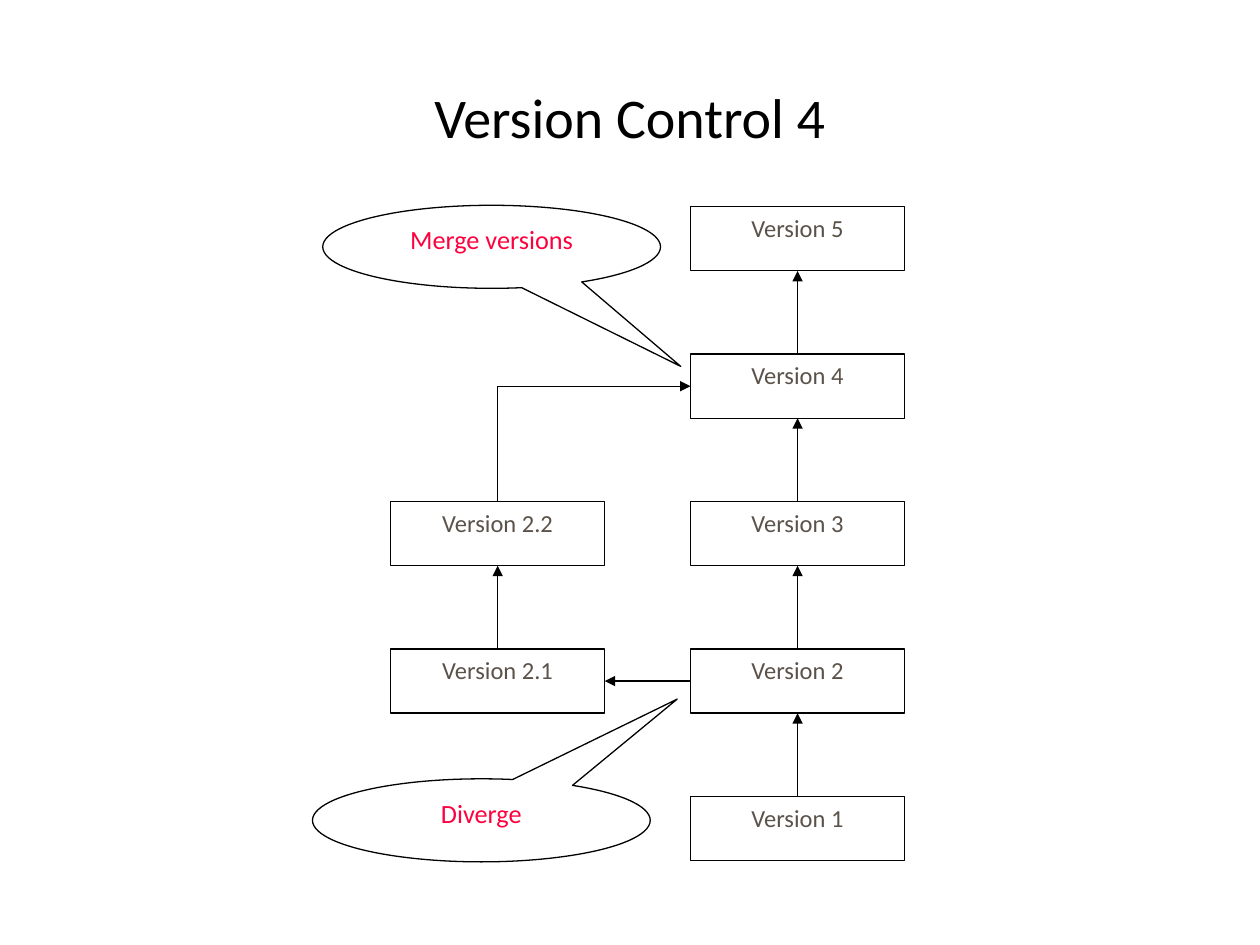
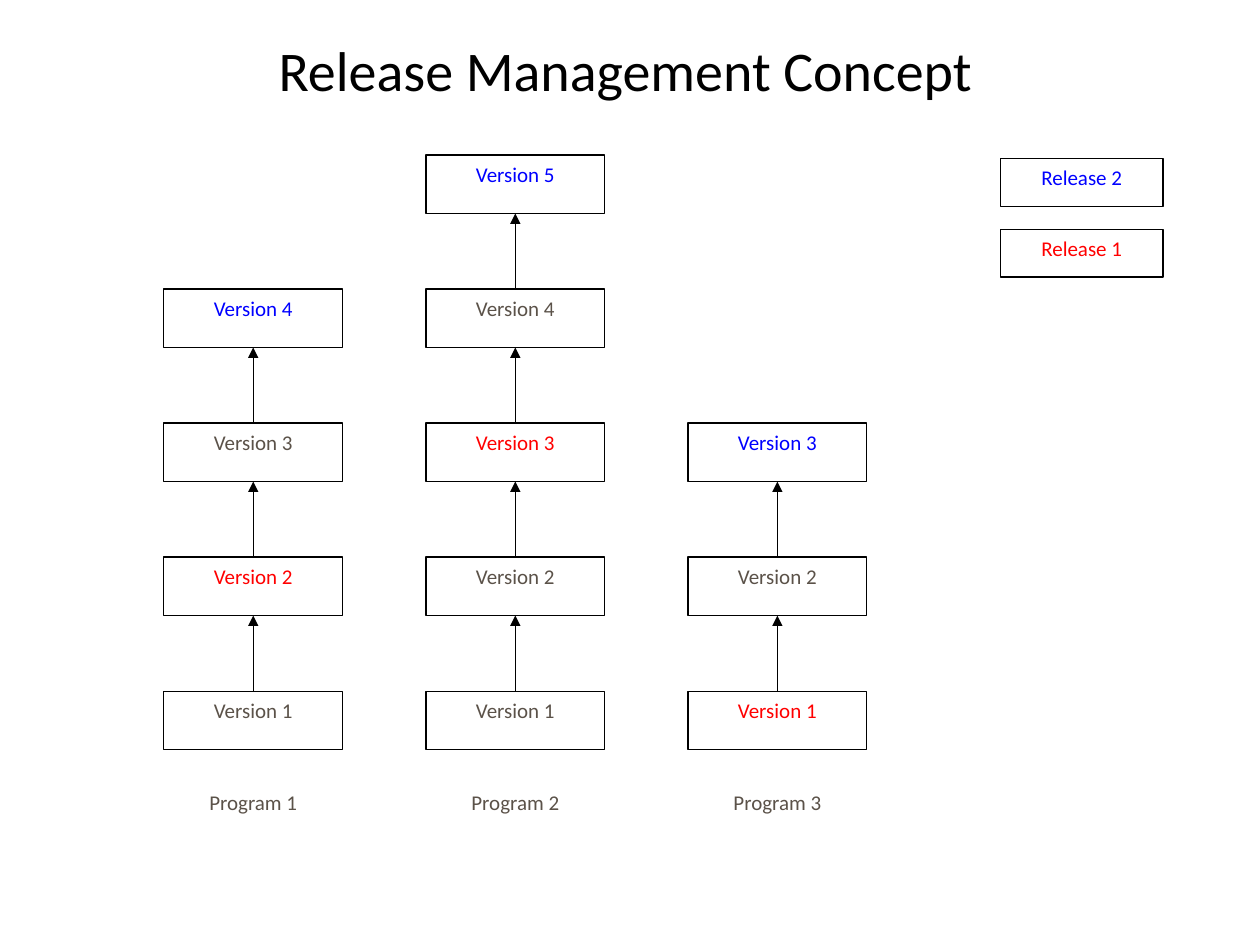
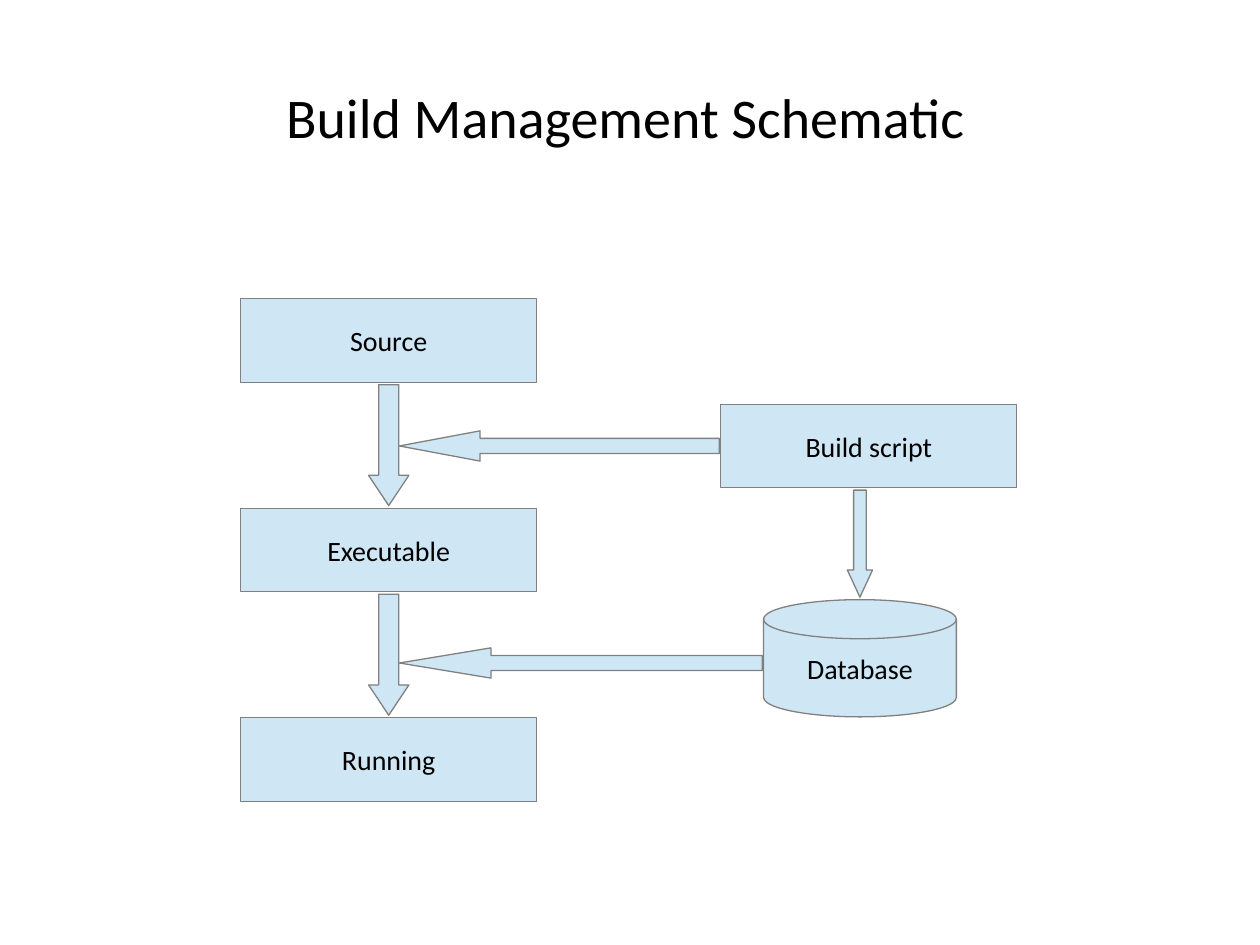
import dataclasses
import itertools

import lxml.etree
import pptx
import pptx.dml.color
import pptx.enum.shapes
import pptx.enum.text
import pptx.oxml.ns
import pptx.util

KIND = pptx.enum.shapes.MSO_SHAPE
ANCHOR = pptx.enum.text.MSO_ANCHOR
INCH = pptx.util.Inches
TOP, LEFT, BASE, RIGHT = range(4)


@dataclasses.dataclass(frozen=True)
class Theme:
    font: str = "Calibri"
    black: str = "000000"
    white: str = "FFFFFF"
    body: str = "5B5249"
    note: str = "FC023E"
    red: str = "FF0000"
    blue: str = "0000FF"
    sky: str = "CFE7F5"
    gray: str = "808080"
    title: int = 32
    large: int = 16
    call: int = 15
    mid: int = 14
    small: int = 12
    line: float = 0.75


THEME = Theme()


@dataclasses.dataclass(frozen=True)
class Box:
    x: float
    y: float
    w: float
    h: float

    def area(self, x, y, w, h):
        return Box(self.x + self.w * x / 100, self.y + self.h * y / 100,
                   self.w * w / 100, self.h * h / 100)

    def cell(self, col, row, cols=1, rows=1, gap=(0, 0)):
        wide = (self.w - gap[0] * (cols - 1)) / cols
        high = (self.h - gap[1] * (rows - 1)) / rows
        return Box(self.x + col * (wide + gap[0]),
                   self.y + row * (high + gap[1]), wide, high)

    def place(self):
        return [INCH(side) for side in (self.x, self.y, self.w, self.h)]


PAGE = Box(0, 0, 10, 7.5)


def tint(code):
    return pptx.dml.color.RGBColor.from_string(code)


def write(shape, text, size, color, pad=0.1, anchor=ANCHOR.MIDDLE, wrap=True):
    frame = shape.text_frame
    frame.word_wrap = wrap
    frame.vertical_anchor = anchor
    frame.margin_left = frame.margin_right = INCH(pad)
    frame.margin_top = frame.margin_bottom = INCH(0.05)
    para = frame.paragraphs[0]
    para.alignment = pptx.enum.text.PP_ALIGN.CENTER
    run = para.add_run()
    run.text = text
    run.font.name = THEME.font
    run.font.size = pptx.util.Pt(size)
    run.font.color.rgb = tint(color)


def draw(slide, kind, box, fill=THEME.white, line=THEME.black, bend=()):
    shape = slide.shapes.add_shape(kind, *box.place())
    shape.shadow.inherit = False
    shape.fill.solid()
    shape.fill.fore_color.rgb = tint(fill)
    if line:
        shape.line.color.rgb = tint(line)
        shape.line.width = pptx.util.Pt(THEME.line)
    else:
        shape.line.fill.background()
    for spot, value in enumerate(bend):
        shape.adjustments[spot] = value
    return shape


def label(slide, box, text, size, color=THEME.body, pad=0.05, line=THEME.black):
    shape = draw(slide, KIND.RECTANGLE, box, line=line)
    write(shape, text, size, color, pad, ANCHOR.TOP)
    return shape


def link(slide, start=None, end=None, bend=(0, 0), head=True):
    line = slide.shapes.add_connector(
        pptx.enum.shapes.MSO_CONNECTOR.STRAIGHT, *bend, *bend)
    if start:
        line.begin_connect(*start)
    if end:
        line.end_connect(*end)
    line.line.color.rgb = tint(THEME.black)
    line.line.width = pptx.util.Pt(THEME.line)
    props = line._element.spPr
    name = pptx.oxml.ns.qn
    if head:
        lxml.etree.SubElement(props.find(name("a:ln")), name("a:tailEnd"),
                              type="triangle")
    lxml.etree.SubElement(props, name("a:effectLst"))


def chain(slide, shapes):
    for low, high in itertools.pairwise(shapes):
        link(slide, (low, TOP), (high, BASE))


def start(deck, title, box):
    slide = deck.slides.add_slide(deck.slide_layouts[6])
    write(slide.shapes.add_textbox(*box.place()), title,
          THEME.title, THEME.black)
    return slide


def branch(slide, box):
    def step(name, col, row):
        cell = box.cell(col, row, 2, 5, (0.68, 0.66))
        return label(slide, cell, f"Version {name}", THEME.mid)

    trunk = [step(num, 1, 5 - num) for num in range(1, 6)]
    side = [step("2.1", 0, 3), step("2.2", 0, 2)]
    chain(slide, trunk)
    chain(slide, side)
    link(slide, (trunk[1], LEFT), (side[0], RIGHT))
    last, merge = side[1], trunk[3]
    bend = (last.left + last.width // 2, merge.top + merge.height // 2)
    link(slide, start=(last, TOP), bend=bend, head=False)
    link(slide, end=(merge, LEFT), bend=bend)
    for text, left, top, tip in (
            ("Merge versions", -13.2, -0.2, (0.56, 1.44)),
            ("Diverge", -15.2, 87.5, (0.58, -1.46))):
        call = draw(slide, KIND.OVAL_CALLOUT,
                    box.area(left, top, 65.7, 12.7), bend=tip)
        write(call, text, THEME.call, THEME.note, 0.02, ANCHOR.TOP)


def stacks(slide, box, marks):
    for col, (count, colors) in enumerate(marks):
        chain(slide, [
            label(slide, box.cell(col, 5 - num, len(marks), 5, (0.66, 0.6)),
                  f"Version {num}", THEME.small, colors.get(num, THEME.body))
            for num in range(1, count + 1)])


def names(slide, box, count):
    for col in range(count):
        label(slide, box.cell(col, 0, count, gap=(0.66, 0)),
              f"Program {col + 1}", THEME.small, line=None)


def legend(slide, box):
    for row, (text, color) in enumerate(
            (("Release 2", THEME.blue), ("Release 1", THEME.red))):
        label(slide, box.cell(0, row, rows=2, gap=(0, 0.18)), text,
              THEME.small, color, 0.1)


def scheme(slide, box):
    def node(text, place, kind=KIND.FLOWCHART_PROCESS):
        shape = draw(slide, kind, place, THEME.sky, THEME.gray)
        write(shape, text, THEME.large, THEME.black, wrap=False)

    def drop(high, low, wide, tip):
        top = high.y + high.h + 0.02
        place = Box(low.x + (low.w - wide) / 2, top, wide, low.y - 0.02 - top)
        draw(slide, KIND.DOWN_ARROW, place, THEME.sky, THEME.gray, (0.5, tip))

    def feed(source, share, tip):
        left = box.area(20.45, 0, 0, 0).x
        place = Box(left, source.y + source.h * share - 0.12,
                    source.x - 0.01 - left, 0.24)
        draw(slide, KIND.LEFT_ARROW, place, THEME.sky, THEME.gray, (0.5, tip))

    stage = box.area(0, 0, 38.15, 100)
    cells = [stage.cell(0, row, rows=3, gap=(0, 1)) for row in range(3)]
    for text, cell in zip(("Source", "Executable", "Running"), cells):
        node(text, cell)
    for high, low in itertools.pairwise(cells):
        drop(high, low, 0.32, 0.75)
    script = box.area(61.85, 21.05, 38.15, 16.54)
    store = box.area(67.37, 59.9, 24.84, 23.31)
    node("Build script", script)
    node("Database", store, KIND.FLOWCHART_MAGNETIC_DISK)
    feed(store, 0.54, 3.03)
    feed(script, 0.5, 2.67)
    drop(script, store, 0.2, 1.08)


def main():
    deck = pptx.Presentation()
    deck.slide_width, deck.slide_height = INCH(PAGE.w), INCH(PAGE.h)

    slide = start(deck, "Version Control 4", PAGE.area(0, 1.87, 100, 20.93))
    branch(slide, PAGE.area(31, 21.87, 40.8, 69.2))

    slide = start(deck, "Release Management Concept",
                  PAGE.area(5, 1.87, 89.3, 10.8))
    marks = ((4, {2: THEME.red, 4: THEME.blue}),
             (5, {3: THEME.red, 5: THEME.blue}),
             (3, {1: THEME.red, 3: THEME.blue}))
    stacks(slide, PAGE.area(13, 16.4, 55.8, 62.93), marks)
    names(slide, PAGE.area(13, 82.93, 55.8, 6.27), len(marks))
    legend(slide, PAGE.area(79.4, 16.8, 12.9, 12.53))

    slide = start(deck, "Build Management Schematic",
                  PAGE.area(5, 1.87, 89.3, 20.93))
    scheme(slide, PAGE.area(19.1, 31.6, 61.6, 53.2))

    deck.save("out.pptx")


if __name__ == "__main__":
    main()
